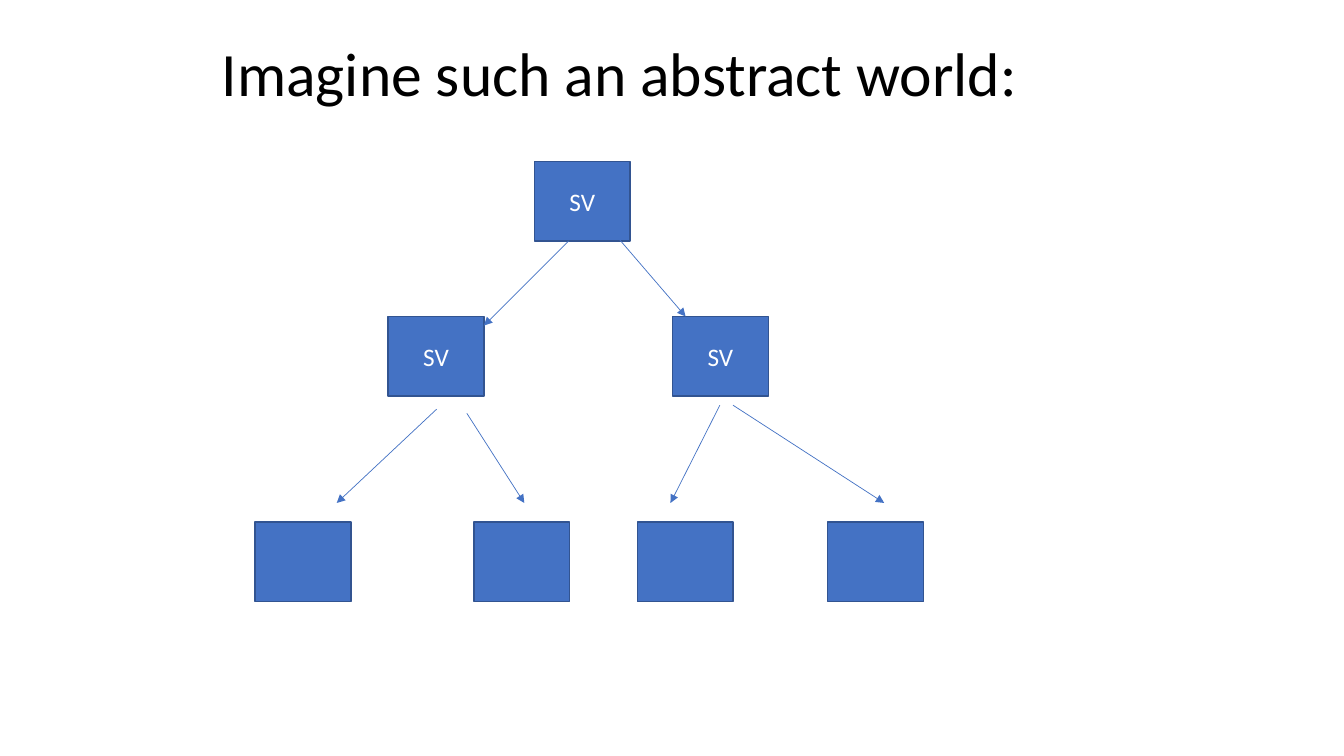
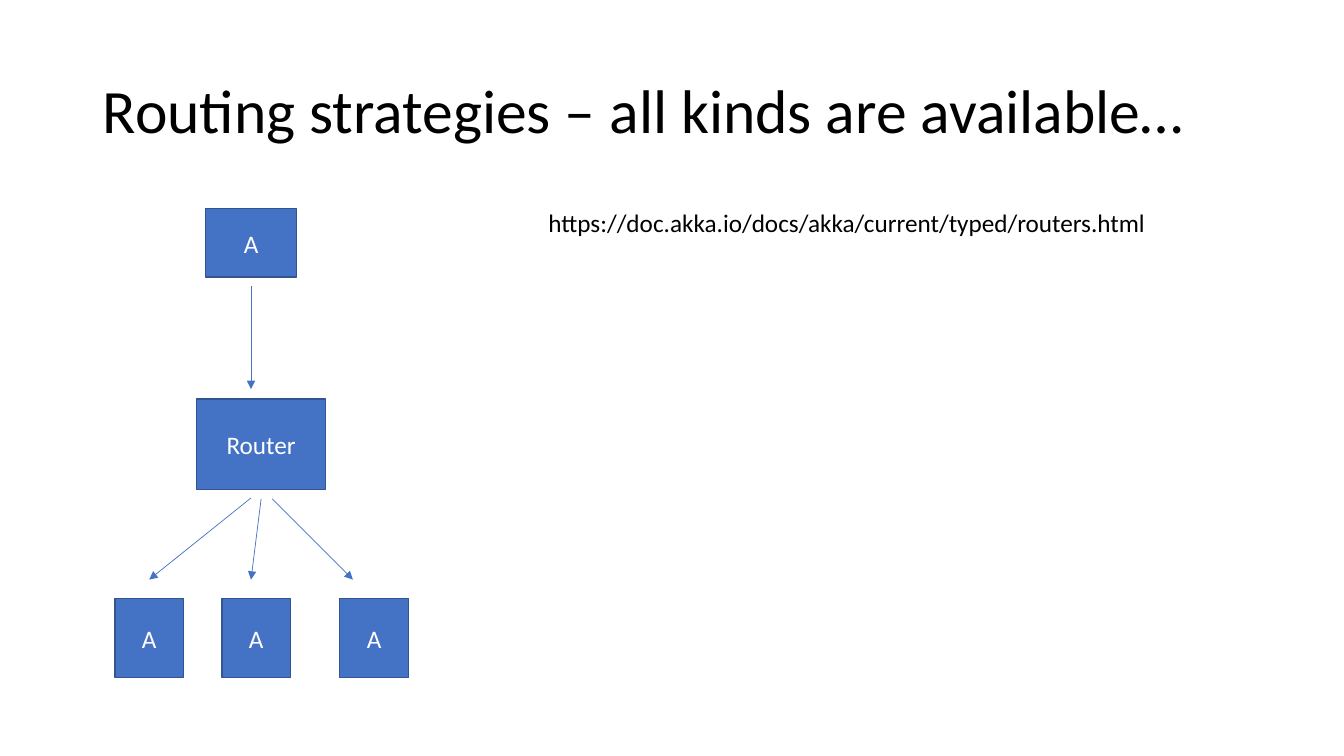
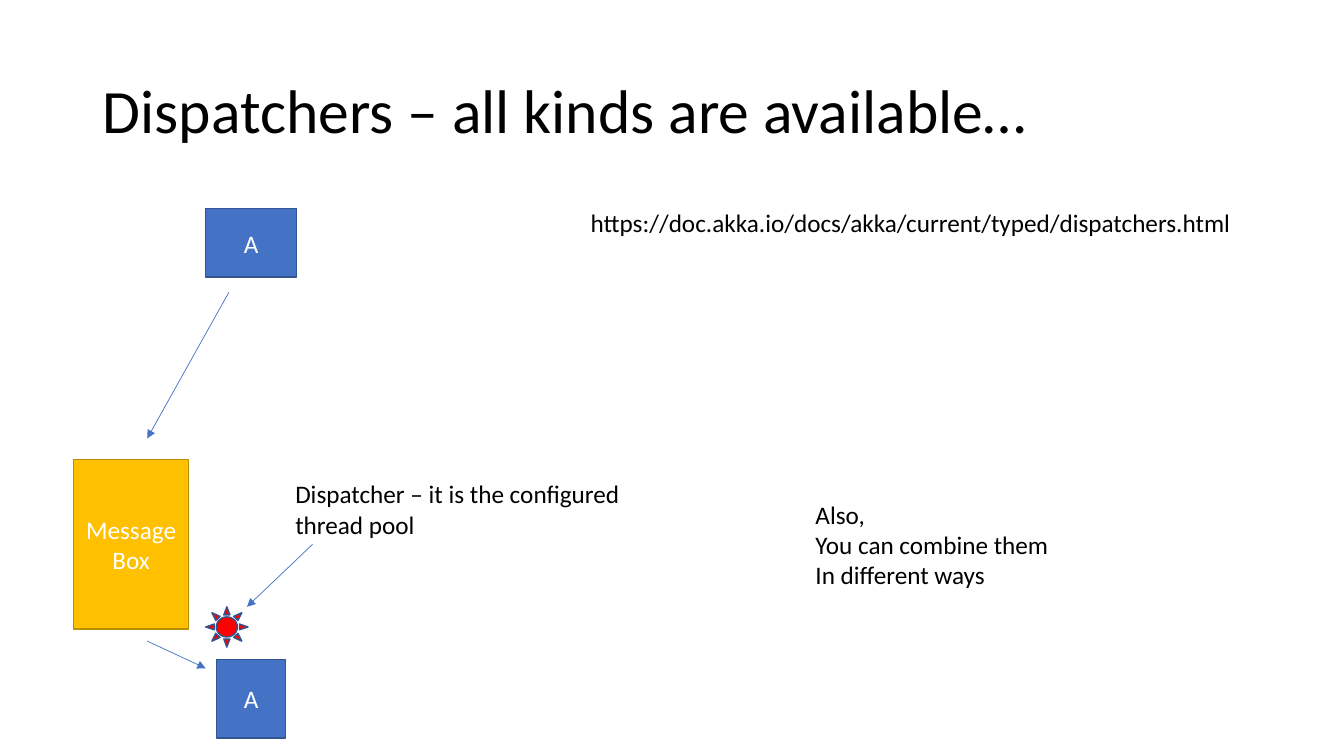
"""Build three slides of actor diagrams: a supervision tree, routing and dispatchers."""
import lxml.etree
import pptx
import pptx.dml.color
import pptx.enum.shapes
import pptx.enum.text
import pptx.oxml.ns
import pptx.util

Inches = pptx.util.Inches
RGBColor = pptx.dml.color.RGBColor
Shapes = pptx.enum.shapes.MSO_SHAPE
Align = pptx.enum.text.PP_ALIGN
Anchor = pptx.enum.text.MSO_ANCHOR

BLUE = RGBColor(0x44, 0x72, 0xC4)
NAVY = RGBColor(0x32, 0x54, 0x91)
GOLD = RGBColor(0xFF, 0xC0, 0x00)
DARK_GOLD = RGBColor(0xBD, 0x8E, 0x00)
RED = RGBColor(0xFF, 0x00, 0x00)
BLACK = RGBColor(0x00, 0x00, 0x00)
WHITE = RGBColor(0xFF, 0xFF, 0xFF)

FONT = "Calibri"
SLIDE_SIZE = (13.33, 7.5)
TITLE_AREA = (0.92, 0.4, 11.5, 1.45)
TREE_NODE = (0.95, 0.79)
SENDER = (0.9, 0.68)
ACTOR = (0.68, 0.78)
SENDER_ROW = (2.07, SENDER, [(2.04, "A")])
STYLES = {
    "node": (Shapes.RECTANGLE, BLUE, NAVY),
    "mailbox": (Shapes.RECTANGLE, GOLD, DARK_GOLD),
    "dispatcher": (Shapes.SUN, RED, NAVY),
}

SLIDES = [
    {
        "title": "Imagine such an abstract world:",
        "title_area": (2.1, 0.25, 11.5, 1.02),
        "rows": [
            (1.6, TREE_NODE, [(5.3, "SV")]),
            (3.14, TREE_NODE, [(3.85, "SV"), (6.67, "SV")]),
            (5.18, TREE_NODE, [(2.53, ""), (4.7, ""), (6.32, ""), (8.21, "")]),
        ],
        "arrows": [
            (5.64, 2.39, 4.8, 3.23), (6.07, 2.29, 6.8, 3.14),
            (4.33, 4.06, 3.34, 4.99), (4.63, 4.1, 5.2, 4.99),
            (7.14, 4.02, 6.65, 4.99), (7.27, 4.02, 8.77, 4.99),
        ],
    },
    {
        "title": "Routing strategies – all kinds are available…",
        "rows": [
            SENDER_ROW,
            (3.96, (1.28, 0.9), [(1.95, "Router")]),
            (5.94, ACTOR, [(1.14, "A"), (2.2, "A"), (3.37, "A")]),
        ],
        "arrows": [
            (2.49, 2.84, 2.49, 3.86), (2.49, 4.94, 1.48, 5.75),
            (2.59, 4.95, 2.49, 5.75), (2.7, 4.95, 3.5, 5.75),
        ],
        "notes": [
            ((5.34, 2.01, 6.19, 0.4), False,
             "https://doc.akka.io/docs/akka/current/typed/routers.html"),
        ],
    },
    {
        "title": "Dispatchers – all kinds are available…",
        "rows": [
            SENDER_ROW,
            (4.56, (1.14, 1.68), [(0.73, "Message\nBox")], "mailbox"),
            (6.02, (0.42, 0.4), [(2.04, "")], "dispatcher"),
            (6.54, ACTOR, [(2.15, "A")]),
        ],
        "arrows": [
            (2.27, 2.9, 1.46, 4.35), (1.46, 6.36, 2.04, 6.63),
            (3.1, 5.4, 2.45, 6.02),
        ],
        "notes": [
            ((5.76, 2.01, 6.76, 0.4), True,
             "https://doc.akka.io/docs/akka/current/typed/dispatchers.html"),
            ((2.83, 4.7, 4.05, 0.71), True,
             "Dispatcher – it is the configured thread pool"),
            ((7.99, 4.9, 3.94, 1.01), True,
             "Also,\nYou can combine them\nIn different ways"),
        ],
    },
]


def inches(lengths):
    return [Inches(length) for length in lengths]


def write_text(shape, text, size=18, color=BLACK, align=Align.LEFT,
               anchor=Anchor.TOP, spacing=1.0, wrap=True):
    frame = shape.text_frame
    frame.text = text
    frame.word_wrap = wrap
    frame.auto_size = pptx.enum.text.MSO_AUTO_SIZE.NONE
    frame.vertical_anchor = anchor
    for paragraph in frame.paragraphs:
        paragraph.alignment = align
        paragraph.line_spacing = spacing
        for run in paragraph.runs:
            run.font.name = FONT
            run.font.size = pptx.util.Pt(size)
            run.font.color.rgb = color


def add_title(slide, text, area):
    title = slide.shapes.title
    title.left, title.top, title.width, title.height = inches(area)
    write_text(title, text, size=44, anchor=Anchor.MIDDLE, spacing=0.9)


def add_row(slide, top, size, items, style="node"):
    preset, fill, outline = STYLES[style]
    for left, label in items:
        shape = slide.shapes.add_shape(preset, *inches((left, top, *size)))
        shape.shadow.inherit = False
        shape.fill.solid()
        shape.fill.fore_color.rgb = fill
        shape.line.color.rgb = outline
        shape.line.width = pptx.util.Pt(1)
        if label:
            write_text(shape, label, color=WHITE, align=Align.CENTER,
                       anchor=Anchor.MIDDLE)


def add_arrow(slide, ends):
    arrow = slide.shapes.add_connector(
        pptx.enum.shapes.MSO_CONNECTOR.STRAIGHT, *inches(ends))
    arrow.line.color.rgb = BLUE
    arrow.line.width = pptx.util.Pt(0.5)
    qualified = pptx.oxml.ns.qn
    lxml.etree.SubElement(arrow.line._get_or_add_ln(),
                          qualified("a:tailEnd"), type="triangle")
    lxml.etree.SubElement(arrow._element.spPr, qualified("a:effectLst"))


def main():
    presentation = pptx.Presentation()
    presentation.slide_width, presentation.slide_height = inches(SLIDE_SIZE)
    title_only = presentation.slide_layouts[5]
    for content in SLIDES:
        slide = presentation.slides.add_slide(title_only)
        add_title(slide, content["title"], content.get("title_area", TITLE_AREA))
        for row in content["rows"]:
            add_row(slide, *row)
        for ends in content["arrows"]:
            add_arrow(slide, ends)
        for area, wrap, text in content.get("notes", []):
            write_text(slide.shapes.add_textbox(*inches(area)), text, wrap=wrap)
    presentation.save("out.pptx")


if __name__ == "__main__":
    main()
